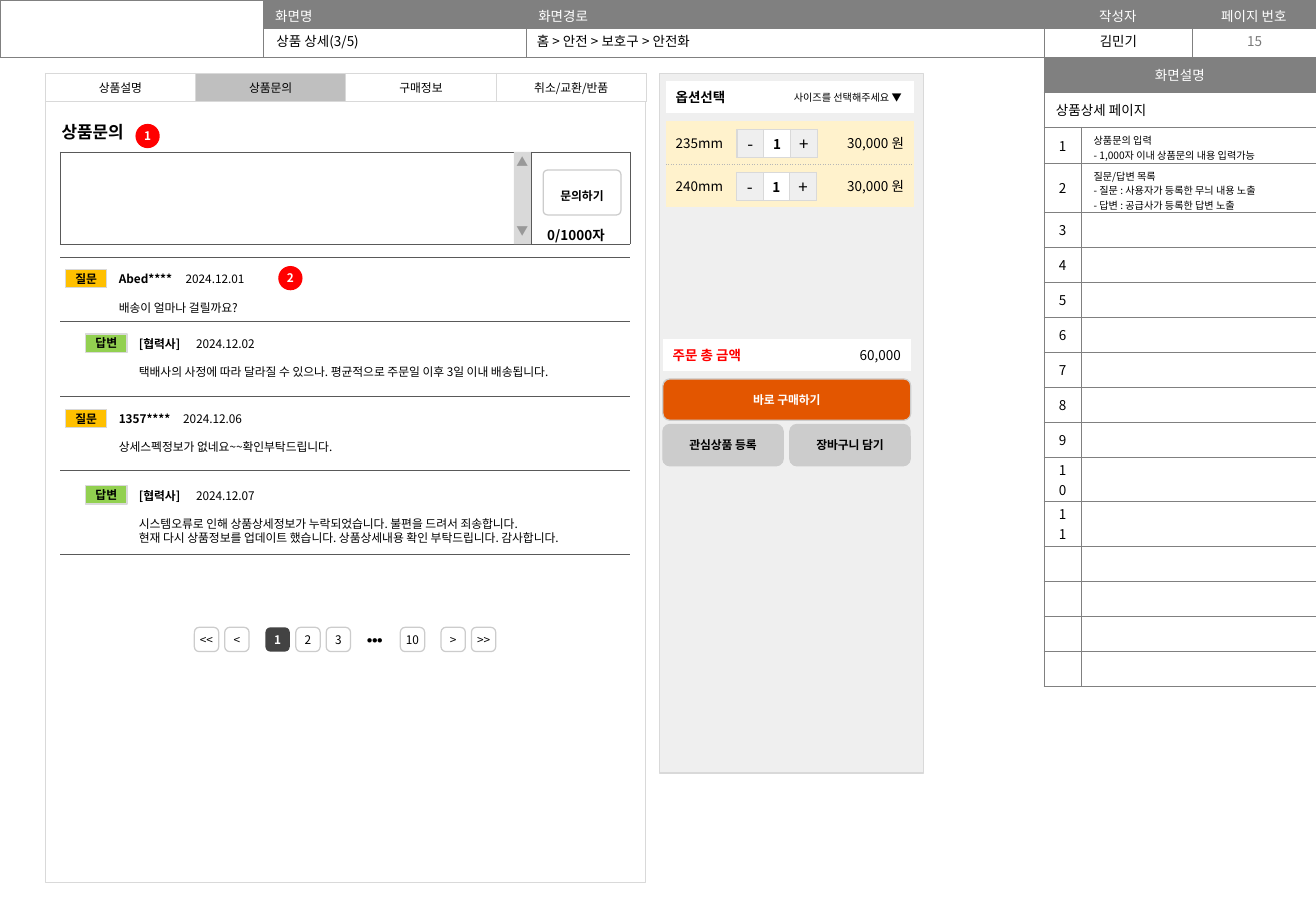
from dataclasses import dataclass, replace

import pptx
import pptx.dml.color
import pptx.enum.shapes
import pptx.enum.text
import pptx.oxml
import pptx.oxml.ns
import pptx.util
from lxml import etree

LEFT, CENTER, RIGHT = (getattr(pptx.enum.text.PP_ALIGN, side) for side in ("LEFT", "CENTER", "RIGHT"))
TOP, MIDDLE, BOTTOM = (getattr(pptx.enum.text.MSO_ANCHOR, side) for side in ("TOP", "MIDDLE", "BOTTOM"))
RECT = pptx.enum.shapes.MSO_SHAPE.RECTANGLE
ROUND = pptx.enum.shapes.MSO_SHAPE.ROUNDED_RECTANGLE
NO_STYLE = "{2D5ABB26-0587-4C30-8999-92F81FD0307C}"
ZERO = (0, 0, 0, 0)
OPTION_INSETS = (8, 4, 8, 4)


@dataclass(frozen=True)
class Theme:
    font: str = "Noto Sans CJK KR"
    note: int = 6
    small: int = 7
    body: int = 8
    heading: int = 10
    black: str = "000000"
    white: str = "FFFFFF"
    header: str = "808080"
    muted: str = "797979"
    rule: str = "595959"
    border: str = "D9D9D9"
    dots: str = "B7B7B7"
    arrow: str = "999999"
    button: str = "CCCCCC"
    panel: str = "EFEFEF"
    selected: str = "BFBFBF"
    current: str = "434343"
    option: str = "FFF2CC"
    buy: str = "E35600"
    red: str = "FF0000"
    question: str = "FFC000"
    answer: str = "92D050"


THEME = Theme()


@dataclass(frozen=True)
class Style:
    size: int = THEME.body
    color: str = THEME.black
    bold: bool = None
    align: int = LEFT


BODY = Style()
BODY_CENTER = Style(align=CENTER)
BODY_RIGHT = Style(align=RIGHT)
HEADER = Style(color=THEME.white)
NOTE = Style(THEME.note)
SMALL = Style(THEME.small)
LABEL = Style(THEME.small, bold=True, align=CENTER)
LIGHT_LABEL = replace(LABEL, color=THEME.white)


def grid(*counts):
    """Lengths on a grid of 100 columns and rows to the inch."""
    return [pptx.util.Inches(count / 100) for count in counts]


def rgb(color):
    return pptx.dml.color.RGBColor.from_string(color)


def paint(fill, color):
    if color:
        fill.solid()
        fill.fore_color.rgb = rgb(color)
    else:
        fill.background()


def format_para(para, style):
    font = para.font
    font.size, font.bold, font.name = pptx.util.Pt(style.size), style.bold, THEME.font
    font.color.rgb = rgb(style.color)
    para.alignment = style.align
    defaults = para._p.pPr.find(pptx.oxml.ns.qn("a:defRPr"))
    etree.SubElement(defaults, pptx.oxml.ns.qn("a:ea"), typeface=THEME.font)
    if not para.runs:
        etree.SubElement(para._p, pptx.oxml.ns.qn("a:endParaRPr"), sz=str(style.size * 100))


def write(frame, text, style):
    frame.text = text
    for para in frame.paragraphs:
        format_para(para, style)


def set_insets(target, insets):
    target.margin_left, target.margin_top, target.margin_right, target.margin_bottom = grid(*insets)


def add_text(page, area, text, style, wrap=True, anchor=TOP):
    frame = page.shapes.add_textbox(*grid(*area)).text_frame
    frame.word_wrap, frame.vertical_anchor = wrap, anchor
    write(frame, text, style)
    return frame


def add_block(page, kind, area, fill=None, line=None, text="", style=LABEL, corner=0.167):
    block = page.shapes.add_shape(kind, *grid(*area))
    block.shadow.inherit = False
    paint(block.fill, fill)
    paint(block.line.fill, line)
    if line:
        block.line.width = pptx.util.Pt(0.75)
    if kind == ROUND:
        block.adjustments[0] = corner
    frame = block.text_frame
    frame.word_wrap, frame.vertical_anchor = True, MIDDLE
    set_insets(frame, ZERO)
    write(frame, text, style)
    return frame


def add_borders(cell, sides, color, width, dash="solid"):
    props = cell._tc.get_or_add_tcPr()
    for index, side in enumerate(sides):
        props.insert(index, pptx.oxml.parse_xml(
            f'<a:ln{side} {pptx.oxml.ns.nsdecls("a")} w="{pptx.util.Pt(width)}"><a:solidFill>'
            f'<a:srgbClr val="{color}"/></a:solidFill><a:prstDash val="{dash}"/></a:ln{side}>'))


def add_table(page, corner, columns, rows, cells, insets=ZERO, anchor=MIDDLE, border=None):
    """Cells are (text, style, fill); border is (sides, color, width)."""
    area = (*corner, sum(columns), sum(rows))
    table = page.shapes.add_table(len(rows), len(columns), *grid(*area)).table
    table.first_row = table.horz_banding = False
    table._tbl.tblPr.find(pptx.oxml.ns.qn("a:tableStyleId")).text = NO_STYLE
    for column, width in zip(table.columns, grid(*columns)):
        column.width = width
    for row, height, contents in zip(table.rows, grid(*rows), cells):
        row.height = height
        for cell, (text, style, fill) in zip(row.cells, contents):
            set_insets(cell, insets)
            cell.vertical_anchor = anchor
            write(cell.text_frame, text, style)
            paint(cell.fill, fill)
            if border:
                add_borders(cell, *border)
    return table


def add_header(page):
    title = page.shapes.title
    title.left, title.top, title.width, title.height = grid(217.5, 22, 215, 24)
    frame = title.text_frame
    frame.auto_size = pptx.enum.text.MSO_AUTO_SIZE.NONE
    frame.vertical_anchor = TOP
    write(frame, "상품 상세(3/5)", BODY)
    empty = ("", NOTE, None)
    names = [(name, replace(HEADER, align=align), THEME.header) for name, align in (
        ("화면명", LEFT), ("화면경로", LEFT), ("작성자", CENTER), ("페이지 번호", CENTER))]
    table = add_table(page, (0, 0), [216.5, 216.5, 426, 122, 102], [23.5] * 2,
                      [[empty] + names, [empty] * 5], (10, 5, 10, 0), TOP,
                      ("LRTB", THEME.header, 0.25))
    table.cell(0, 0).merge(table.cell(1, 0))
    add_text(page, (859, 22, 123, 24), "김민기", BODY_CENTER)
    add_text(page, (982, 22, 101, 24), "15", replace(BODY_CENTER, color=THEME.muted), anchor=MIDDLE)
    add_text(page, (432, 22, 215, 24), "홈 > 안전 > 보호구 > 안전화", BODY)


def add_description(page):
    notes = {1: "상품문의 입력\n- 1,000자 이내 상품문의 내용 입력가능",
             2: "질문/답변 목록\n- 질문 : 사용자가 등록한 무늬 내용 노출\n- 답변 : 공급사가 등록한 답변 노출"}
    blank = ("", NOTE, None)
    cells = [[("화면설명", replace(HEADER, align=CENTER), THEME.header), blank],
             [("상품상세 페이지", BODY, None), blank]]
    cells += [[(str(number) if number < 12 else "", BODY_CENTER, None),
               (notes.get(number, ""), NOTE, None)] for number in range(1, 16)]
    line = 28.8
    rows = [line] * 2 + [30, 40] + [line] * 7 + [37, 36.5] + [line] * 4
    table = add_table(page, (859, 47), [31, 193], rows, cells, (10, 2, 10, 2),
                      border=("LRTB", THEME.header, 0.25))
    for row in range(2):
        table.cell(row, 0).merge(table.cell(row, 1))
    for row in (2, 3):
        set_insets(table.cell(row, 1), (10, 4, 10, 0))


def add_post(page, left, top, badge, color, author, date, tab, body):
    add_block(page, RECT, (left, top, 34, 15), color, THEME.border, badge)
    frame = add_text(page, (left + 34, top - 3, 400, 42), "\n".join(["", *body]), SMALL, wrap=False)
    byline, *lines = frame.paragraphs
    byline._p.pPr.insert(0, pptx.oxml.parse_xml(
        f'<a:tabLst {pptx.oxml.ns.nsdecls("a")}><a:tab pos="{grid(tab)[0]}" algn="l"/></a:tabLst>'))
    for text, bold in ((author, True), ("\t" + date, False)):
        span = byline.add_run()
        span.text, span.font.bold = text, bold
    lines[0].line_spacing = 2.0


def add_inquiry(page):
    add_block(page, RECT, (37.3, 60.5, 494, 666), line=THEME.border)
    tabs = ["상품설명", "상품문의", "구매정보", "취소/교환/반품"]
    add_table(page, (37.3, 60.5), [123.7] * 4, [23], [[
        (tab, replace(SMALL, align=CENTER), THEME.selected if tab == "상품문의" else THEME.white)
        for tab in tabs]], border=("LRTB", THEME.border, 0.75))
    add_text(page, (41, 95, 76, 27), "상품문의", Style(THEME.heading, bold=True), wrap=False)
    blank = ("", NOTE, None)
    counter = ("0/1000자", replace(BODY_CENTER, bold=True), None)
    add_table(page, (49.5, 125), [388, 81], [76], [[blank, counter]], (0, 0, 8, 0), BOTTOM,
              ("LRTB", THEME.rule, 0.25))
    add_table(page, (49.5, 212), [469], [52.5, 61.5, 61, 69], [[blank]] * 4,
              border=("TB", THEME.rule, 0.25))
    submit = add_block(page, ROUND, (447, 140, 64, 37), THEME.white, THEME.button, "문의하기", corner=0.1)
    submit.paragraphs[0].line_spacing = 1.5
    scroll = add_block(page, RECT, (423, 125, 14, 76), THEME.border, text="▲\n▼",
                       style=Style(THEME.small, THEME.arrow))
    scroll.vertical_anchor = TOP
    set_insets(scroll, (2, 2, 0, 0))
    scroll.paragraphs[1].space_before = pptx.util.Pt(33)
    question, answer = (54, "질문", THEME.question), (70.5, "답변", THEME.answer)
    for (left, badge, color), top, author, date, tab, body in (
            (question, 222, "Abed****", "2024.12.01", 55, ["배송이 얼마나 걸릴까요?"]),
            (answer, 275, "[협력사]", "2024.12.02", 47,
             ["택배사의 사정에 따라 달라질 수 있으나. 평균적으로 주문일 이후 3일 이내 배송됩니다."]),
            (question, 337, "1357****", "2024.12.06", 53, ["상세스펙정보가 없네요~~확인부탁드립니다."]),
            (answer, 400, "[협력사]", "2024.12.07", 47,
             ["시스템오류로 인해 상품상세정보가 누락되었습니다. 불편을 드려서 죄송합니다.",
              "현재 다시 상품정보를 업데이트 했습니다. 상품상세내용 확인 부탁드립니다. 감사합니다."])):
        add_post(page, left, top, badge, color, author, date, tab, body)


def add_pager(page):
    for start, labels in ((160, ["<<", "<"]), (218.5, ["1", "2", "3"]), (329.5, ["10"]), (363, [">", ">>"])):
        for index, label in enumerate(labels):
            fill, line, style = ((THEME.current, None, LIGHT_LABEL) if label == "1"
                                 else (None, THEME.button, replace(SMALL, align=CENTER)))
            add_block(page, ROUND, (start + 25 * index, 516.5, 20, 20), fill, line, label, style, 0.2)
    add_block(page, ROUND, (293.5, 516.5, 30, 20), text="⦁⦁⦁", style=replace(NOTE, align=CENTER), corner=0.2)


def add_order(page):
    add_block(page, RECT, (542.5, 60.5, 217.5, 576), THEME.panel, THEME.border)
    add_table(page, (548, 66.5), [76, 128], [26.5], [[
        ("옵션선택", Style(bold=True), THEME.white),
        ("사이즈를 선택해주세요 ▼", replace(NOTE, align=RIGHT), THEME.white)]], (8, 4, 10, 4))
    options = add_table(page, (548, 100), [63, 141], [35.5, 35], [
        [(size, BODY, THEME.option), ("30,000 원", BODY_RIGHT, THEME.option)]
        for size in ("235mm", "240mm")], OPTION_INSETS)
    for cell in options.rows[0].cells:
        add_borders(cell, "B", THEME.dots, 0.75, "dot")
    sign = Style(THEME.heading, align=CENTER)
    for left, top in ((606.5, 106.5), (606, 142)):
        add_table(page, (left, top), [22] * 3, [23], [[
            ("-", sign, THEME.panel), ("1", replace(BODY_CENTER, bold=True), THEME.white),
            ("+", sign, THEME.panel)]], border=("LRTB", THEME.border, 0.75))
    add_table(page, (545.5, 279), [88, 116], [26.5], [[
        ("주문 총 금액", Style(color=THEME.red, bold=True), THEME.white),
        ("60,000", BODY_RIGHT, THEME.white)]], OPTION_INSETS)
    add_block(page, ROUND, (545.5, 312, 204, 34), THEME.buy, THEME.button, "바로 구매하기", LIGHT_LABEL)
    for left, label in ((545.5, "관심상품 등록"), (650, "장바구니 담기")):
        add_block(page, ROUND, (left, 349.5, 99, 34), THEME.button, THEME.button, label)


def main():
    deck = pptx.Presentation()
    deck.slide_width, deck.slide_height = grid(1083, 750)
    page = deck.slides.add_slide(deck.slide_layouts[5])
    add_header(page)
    add_description(page)
    add_order(page)
    add_inquiry(page)
    add_pager(page)
    for number, left, top in (("1", 111.5, 102), ("2", 229, 219)):
        add_block(page, ROUND, (left, top, 20, 20), THEME.red, None, number, LIGHT_LABEL, 0.5)
    deck.save("out.pptx")


if __name__ == "__main__":
    main()
